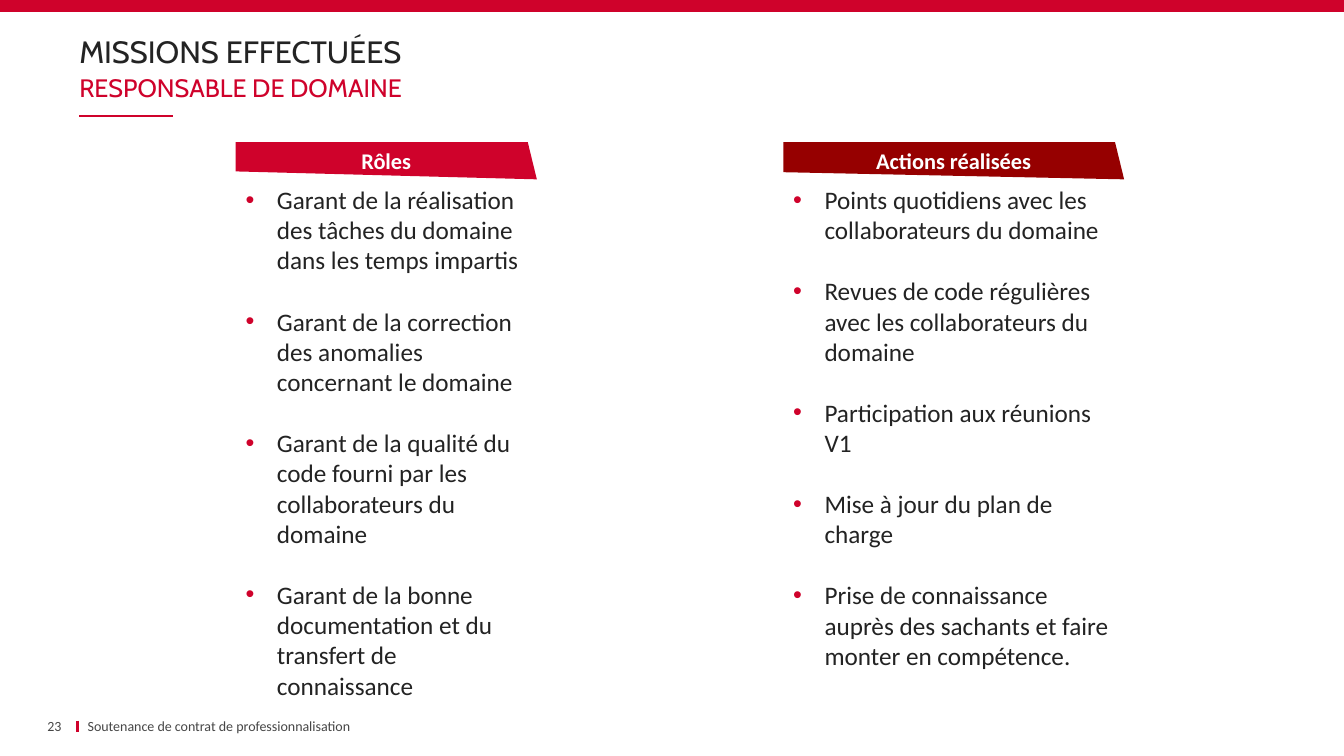
from lxml.etree import SubElement
from pptx import Presentation
from pptx.dml.color import RGBColor
from pptx.enum.shapes import MSO_CONNECTOR as Connector, MSO_SHAPE as Preset
from pptx.enum.text import MSO_ANCHOR as Anchor, PP_ALIGN as Align
from pptx.oxml.ns import qn
from pptx.util import Cm, Pt

RED = RGBColor(0xCF, 0x02, 0x2B)
DARK_RED = RGBColor(0x96, 0x00, 0x00)
INK = RGBColor(0x23, 0x23, 0x23)
GREY = RGBColor(0x46, 0x46, 0x46)
WHITE = RGBColor(0xFF, 0xFF, 0xFF)

SLIDE_WIDTH, SLIDE_HEIGHT = 33.87, 19.05
MARGIN = 2
HEADER_TOP, HEADER_HEIGHT = 3.58, 0.94

ROLES = [
    "Garant de la réalisation des tâches du domaine dans les temps impartis",
    "Garant de la correction des anomalies concernant le domaine",
    "Garant de la qualité du code fourni par les collaborateurs du domaine",
    "Garant de la bonne documentation et du transfert de connaissance",
]
ACTIONS = [
    "Points quotidiens avec les collaborateurs du domaine",
    "Revues de code régulières avec les collaborateurs du domaine",
    "Participation aux réunions V1",
    "Mise à jour du plan de charge",
    "Prise de connaissance auprès des sachants et faire monter en compétence.",
]
# heading, colour, left, width, height of the header's left edge, items, list height
COLUMNS = [
    ("Rôles", RED, 5.94, 7.59, 0.74, ROLES, 13.34),
    ("Actions réalisées", DARK_RED, 19.74, 8.59, 0.76, ACTIONS, 14.1),
]


def write(paragraph, text, size=18, color=INK, font="Calibri", bold=False, align=Align.LEFT):
    run = paragraph.add_run()
    run.text = text
    run.font.size = Pt(size)
    run.font.name = font
    run.font.bold = bold
    run.font.color.rgb = color
    paragraph.alignment = align


def add_bullet(paragraph, color, indent):
    """Give the paragraph a coloured dot with a hanging indent in cm."""
    properties = paragraph._p.get_or_add_pPr()
    properties.set("marL", str(Cm(indent)))
    properties.set("indent", str(-Cm(indent)))
    bullet_color = SubElement(properties, qn("a:buClr"))
    SubElement(bullet_color, qn("a:srgbClr")).set("val", str(color))
    SubElement(properties, qn("a:buFont")).set("typeface", "Arial")
    SubElement(properties, qn("a:buChar")).set("char", "•")


class MissionSlide:
    def __init__(self, presentation):
        self.shapes = presentation.slides.add_slide(presentation.slide_layouts[6]).shapes
        self.indent = 0.79
        self.item_gap = Pt(22)

    def paint(self, shape, color):
        shape.shadow.inherit = False
        shape.fill.solid()
        shape.fill.fore_color.rgb = color
        shape.line.fill.background()

    def band(self, left, top, width, height):
        band = self.shapes.add_shape(Preset.RECTANGLE, Cm(left), Cm(top), Cm(width), Cm(height))
        self.paint(band, RED)

    def rule(self, start, end, weight):
        rule = self.shapes.add_connector(Connector.STRAIGHT, *map(Cm, start + end))
        rule.line.color.rgb = RED
        rule.line.width = Pt(weight)
        SubElement(rule._element.spPr, qn("a:effectLst"))

    def frame(self, left, top, width, height, anchor=Anchor.TOP, inset=0.25):
        box = self.shapes.add_textbox(Cm(left), Cm(top), Cm(width), Cm(height))
        frame = box.text_frame
        frame.word_wrap = True
        frame.vertical_anchor = anchor
        frame.margin_left = frame.margin_right = Cm(inset)
        return frame

    def label(self, text, left, top, width, height, inset=0, line_spacing=1.0, **style):
        paragraph = self.frame(left, top, width, height, Anchor.MIDDLE, inset).paragraphs[0]
        paragraph.line_spacing = line_spacing
        write(paragraph, text, **style)

    def header(self, text, color, left, width, left_edge):
        """Draw a column heading with a slanted right and bottom edge."""
        right, bottom = left + width, HEADER_TOP + HEADER_HEIGHT
        outline = self.shapes.build_freeform(Cm(left), Cm(HEADER_TOP))
        corners = [(right - 0.23, HEADER_TOP), (right, bottom), (left, HEADER_TOP + left_edge)]
        outline.add_line_segments([(Cm(x), Cm(y)) for x, y in corners], close=True)
        header = outline.convert_to_shape()
        self.paint(header, color)
        header.text_frame.vertical_anchor = Anchor.MIDDLE
        write(header.text_frame.paragraphs[0], text, size=16, color=WHITE, bold=True,
              align=Align.CENTER)

    def bullets(self, items, left, width, height):
        frame = self.frame(left, HEADER_TOP + HEADER_HEIGHT, width, height)
        for index, item in enumerate(items):
            paragraph = frame.add_paragraph() if index else frame.paragraphs[0]
            if index:
                paragraph.space_before = self.item_gap
            write(paragraph, item)
            add_bullet(paragraph, RED, self.indent)


def main():
    presentation = Presentation()
    presentation.slide_width = Cm(SLIDE_WIDTH)
    presentation.slide_height = Cm(SLIDE_HEIGHT)
    slide = MissionSlide(presentation)

    slide.rule((1.96, 18.16), (1.96, 18.44), 2.25)
    slide.rule((MARGIN, 2.92), (4.37, 2.92), 1)
    slide.band(0, 0, SLIDE_WIDTH, 0.3)
    slide.label("MISSIONS EFFECTUÉES", MARGIN, 0.89, 29.79, 0.91, line_spacing=0.9,
                size=22, font="Cabin")
    slide.label("RESPONSABLE DE DOMAINE", MARGIN, 1.83, 29.79, 0.76, color=RED, font="Cabin")
    slide.label("Soutenance de contrat de professionnalisation", 1.96, 18.06, 16.84, 0.46,
                inset=0.25, size=10, color=GREY)
    slide.label("23", 0.46, 18.06, 1.09, 0.46, size=10, color=GREY, align=Align.RIGHT)

    for heading, color, left, width, left_edge, items, list_height in COLUMNS:
        slide.header(heading, color, left, width, left_edge)
        slide.bullets(items, left, width, list_height)

    presentation.save("out.pptx")


if __name__ == "__main__":
    main()
